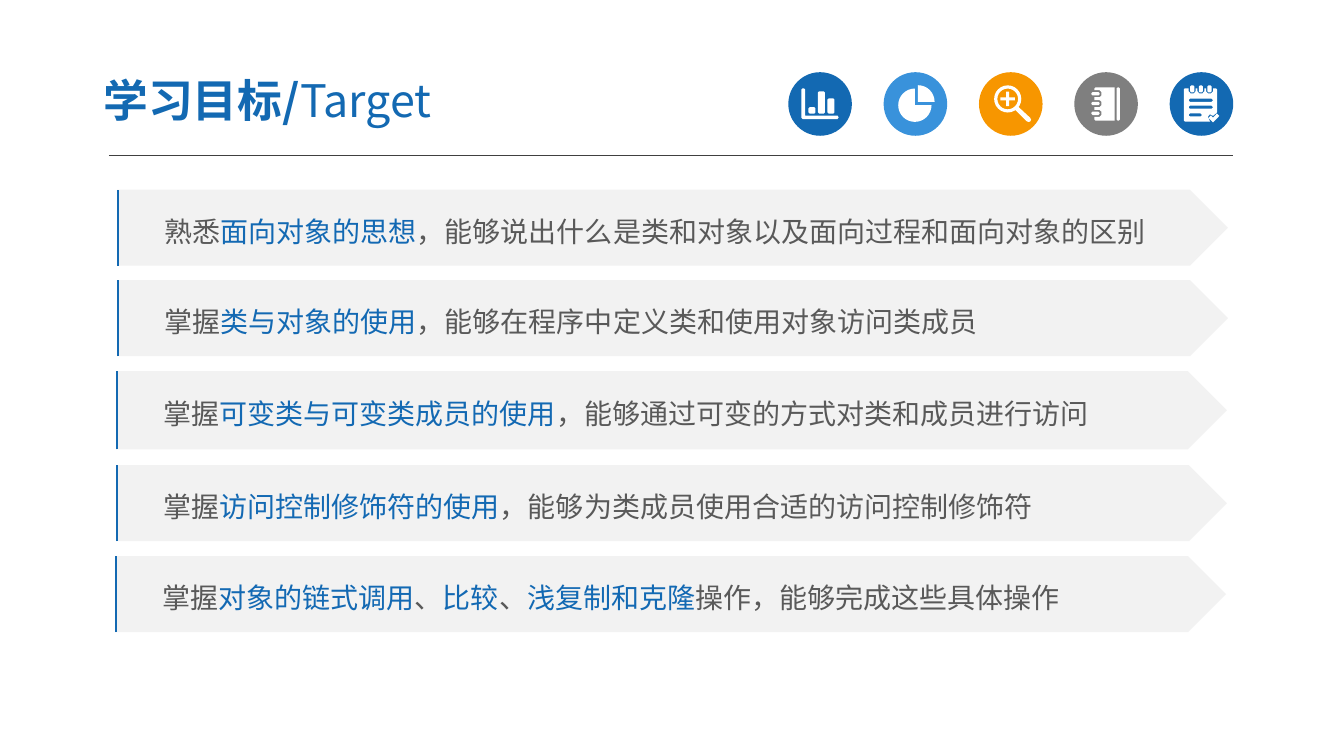
import math

import pptx
import pptx.dml.color
import pptx.enum.shapes
import pptx.enum.text
import pptx.oxml
import pptx.oxml.ns
import pptx.util

Pt = pptx.util.Pt
RGBColor = pptx.dml.color.RGBColor
SHAPE = pptx.enum.shapes.MSO_SHAPE

BLUE = RGBColor(0x13, 0x69, 0xB2)
HIGHLIGHT = RGBColor(0x13, 0x69, 0xB3)
LIGHT_BLUE = RGBColor(0x39, 0x92, 0xDB)
ORANGE = RGBColor(0xF7, 0x96, 0x00)
GRAY = RGBColor(0x7F, 0x7F, 0x7F)
RULE_GRAY = RGBColor(0x40, 0x40, 0x40)
PALE = RGBColor(0xF2, 0xF2, 0xF2)
TEXT = RGBColor(0x59, 0x59, 0x59)
WHITE = RGBColor(0xFF, 0xFF, 0xFF)

# Left, top, height and pieces of text; every second piece is highlighted.
GOALS = [
    (83.7, 135.5, 54.3, ["熟悉", "面向对象的思想", "，能够说出什么是类和对象以及面向过程和面向对象的区别"]),
    (83.7, 200.1, 54.3, ["掌握", "类与对象的使用", "，能够在程序中定义类和使用对象访问类成员"]),
    (83, 265.1, 55.9, ["掌握", "可变类与可变类成员的使用", "，能够通过可变的方式对类和成员进行访问"]),
    (83, 332.3, 54.3, ["掌握", "访问控制修饰符的使用", "，能够为类成员使用合适的访问控制修饰符"]),
    (82.4, 397.2, 54.4, ["掌握", "对象的链式调用", "、", "比较", "、", "浅复制和克隆",
                         "操作，能够完成这些具体操作"]),
]
GOAL_WIDTH = 793.4
ICON_LEFT, ICON_TOP, ICON_PITCH, ICON_SIZE = 563.1, 51.6, 68.1, 45.4


def set_attributes(target, values):
    for name, value in values.items():
        setattr(target, name, value)


class Painter:
    font_name = "Noto Sans CJK SC"

    def __init__(self, slide):
        self.shapes = slide.shapes

    def paint(self, shape, fill):
        shape.shadow.inherit = False
        shape.fill.solid()
        shape.fill.fore_color.rgb = fill
        shape.line.fill.background()

    def shape(self, kind, left, top, width, height, fill):
        shape = self.shapes.add_shape(kind, *map(Pt, (left, top, width, height)))
        self.paint(shape, fill)
        return shape

    def line(self, start, end, color, width):
        connector = self.shapes.add_connector(
            pptx.enum.shapes.MSO_CONNECTOR.STRAIGHT, *map(Pt, start + end))
        connector.line.color.rgb = color
        connector.line.width = Pt(width)
        connector._element.spPr.append(pptx.oxml.parse_xml(
            "<a:effectLst %s/>" % pptx.oxml.ns.nsdecls("a")))

    def frame(self, shape, insets):
        left, top, right, bottom = map(Pt, insets)
        set_attributes(shape.text_frame, dict(
            margin_left=left, margin_top=top, margin_right=right, margin_bottom=bottom,
            auto_size=pptx.enum.text.MSO_AUTO_SIZE.NONE,
            vertical_anchor=pptx.enum.text.MSO_ANCHOR.MIDDLE, word_wrap=True))
        paragraph = shape.text_frame.paragraphs[0]
        paragraph.alignment = pptx.enum.text.PP_ALIGN.LEFT
        return paragraph

    def run(self, paragraph, text, size, color, bold=False):
        run = paragraph.add_run()
        run.text = text
        set_attributes(run.font, dict(name=self.font_name, size=Pt(size), bold=bold))
        run.font.color.rgb = color
        run.font._element.append(pptx.oxml.parse_xml(
            '<a:ea %s typeface="%s"/>' % (pptx.oxml.ns.nsdecls("a"), self.font_name)))

    def title(self, bold_text, plain_text):
        title = self.shapes.title
        set_attributes(title, dict(left=Pt(64.2), top=Pt(45.4), width=Pt(376), height=Pt(52)))
        paragraph = self.frame(title, (9.6, 4.8, 9.6, 4.8))
        self.run(paragraph, bold_text, 32, BLUE, True)
        self.run(paragraph, plain_text, 32, BLUE)

    def goal(self, left, top, height, pieces):
        plate = self.shape(SHAPE.PENTAGON, left, top, GOAL_WIDTH, height, PALE)
        paragraph = self.frame(plate, (33.6, 3.6, 7.2, 3.6))
        paragraph.line_spacing = 1.2
        for index, piece in enumerate(pieces):
            self.run(paragraph, piece, 20, HIGHLIGHT if index % 2 else TEXT)
        edge = left + 0.7
        self.line((edge, top + height), (edge, top), BLUE, 1.5)

    def icon(self, index, color, contours):
        """Draw a disc with one white symbol; a contour inside another is a hole."""
        left = ICON_LEFT + index * ICON_PITCH
        self.shape(SHAPE.OVAL, left, ICON_TOP, ICON_SIZE, ICON_SIZE, color)
        builder = None
        for contour in contours:
            places = [(Pt(left + x), Pt(ICON_TOP + y)) for x, y in contour]
            if builder is None:
                builder = self.shapes.build_freeform(*places[0], scale=1.0)
            else:
                builder.move_to(*places[0])
            builder.add_line_segments(places[1:], close=True)
        self.paint(builder.convert_to_shape(), WHITE)


def box(left, top, width, height, cut=0.8):
    """Rectangle with its corners cut off."""
    right, bottom = left + width, top + height
    return [(left + cut, top), (right - cut, top), (right, top + cut), (right, bottom - cut),
            (right - cut, bottom), (left + cut, bottom), (left, bottom - cut), (left, top + cut)]


def arc(x, y, radius, start=0, end=360, steps=24):
    angles = [math.radians(start + (end - start) * step / steps) for step in range(steps + 1)]
    return [(x + radius * math.cos(angle), y + radius * math.sin(angle)) for angle in angles]


def bars():
    axis = [(9.4, 12.3), (10.2, 11.5), (11.2, 11.5), (12, 12.3), (12, 31), (35.2, 31),
            (36, 32.2), (35.2, 33.4), (10.2, 33.4), (9.4, 32.6)]
    return [axis] + [box(14.4 + index * 6.8, 29.5 - height, 5, height)
                     for index, height in enumerate([4.5, 15.8, 10.8])]


def pie():
    return [[(22.3, 23.6)] + arc(22.3, 23.6, 11.9, 0, 270),
            [(24.5, 21.2)] + arc(24.5, 21.2, 11.9, -90, 0, 8)]


def magnifier():
    handle = [(26.2, 27.2), (28.4, 25), (36.6, 32.6), (37.2, 34), (36.6, 35.2),
              (35.3, 35.6), (34, 35)]
    plus = [(19.4, 13.9), (21.6, 13.9), (21.6, 18), (25.7, 18), (25.7, 20.2), (21.6, 20.2),
            (21.6, 24.3), (19.4, 24.3), (19.4, 20.2), (15.3, 20.2), (15.3, 18), (19.4, 18)]
    return [arc(20.5, 19.1, 9.7), arc(20.5, 19.1, 7.4), plus, handle]


def notebook():
    ring_tops = [14.2 + index * 7 for index in range(3)]
    cover = [(15.2, 10.8), (28.8, 10.8), (28.8, 34.6), (15.2, 34.6), (14.4, 33.8)]
    for top in reversed(ring_tops):
        cover += [(14.4, top + 3.7), (18, top + 3.7), (19.4, top + 2.4), (19.4, top),
                  (18, top - 1.3), (14.4, top - 1.3)]
    cover.append((14.4, 11.6))
    return [cover, box(30.2, 10.8, 2.3, 23.8)] + [box(12.2, top, 5.8, 2.4) for top in ring_tops]


def notepad():
    ring_lefts = [13.6 + index * 6.2 for index in range(3)]
    page = [(10.1, 12.3), (10.9, 11.5)]
    for left in ring_lefts:
        page += [(left, 11.5), (left, 13.6), (left + 1.4, 15.1), (left + 3.6, 15.1),
                 (left + 5, 13.6), (left + 5, 11.5)]
    page += [(33.1, 11.5), (33.9, 12.3), (33.9, 28.7), (31, 31.2), (28.8, 30), (27.2, 32),
             (29, 35.3), (10.9, 35.3), (10.1, 34.5)]
    check = [(27.8, 32.6), (29.5, 30.9), (31, 32.4), (33.8, 29.5), (35.5, 31.2), (31, 35.8)]
    lines = [box(13.7, top, width, 2.2)
             for top, width in [(18.9, 17.1), (23.9, 17.1), (29.4, 9.2)]]
    return [page, check] + lines + [box(left + 1, 9.4, 3, 5) for left in ring_lefts]


def main():
    presentation = pptx.Presentation()
    presentation.slide_width, presentation.slide_height = Pt(960), Pt(540)
    painter = Painter(presentation.slides.add_slide(presentation.slide_layouts[5]))
    painter.line((77.8, 111.3), (880.6, 111.3), RULE_GRAY, 0.75)
    icons = [(BLUE, bars()), (LIGHT_BLUE, pie()), (ORANGE, magnifier()),
             (GRAY, notebook()), (BLUE, notepad())]
    for index, (color, contours) in enumerate(icons):
        painter.icon(index, color, contours)
    painter.title("学习目标/", "Target")
    for goal in GOALS:
        painter.goal(*goal)
    presentation.save("out.pptx")


if __name__ == "__main__":
    main()
